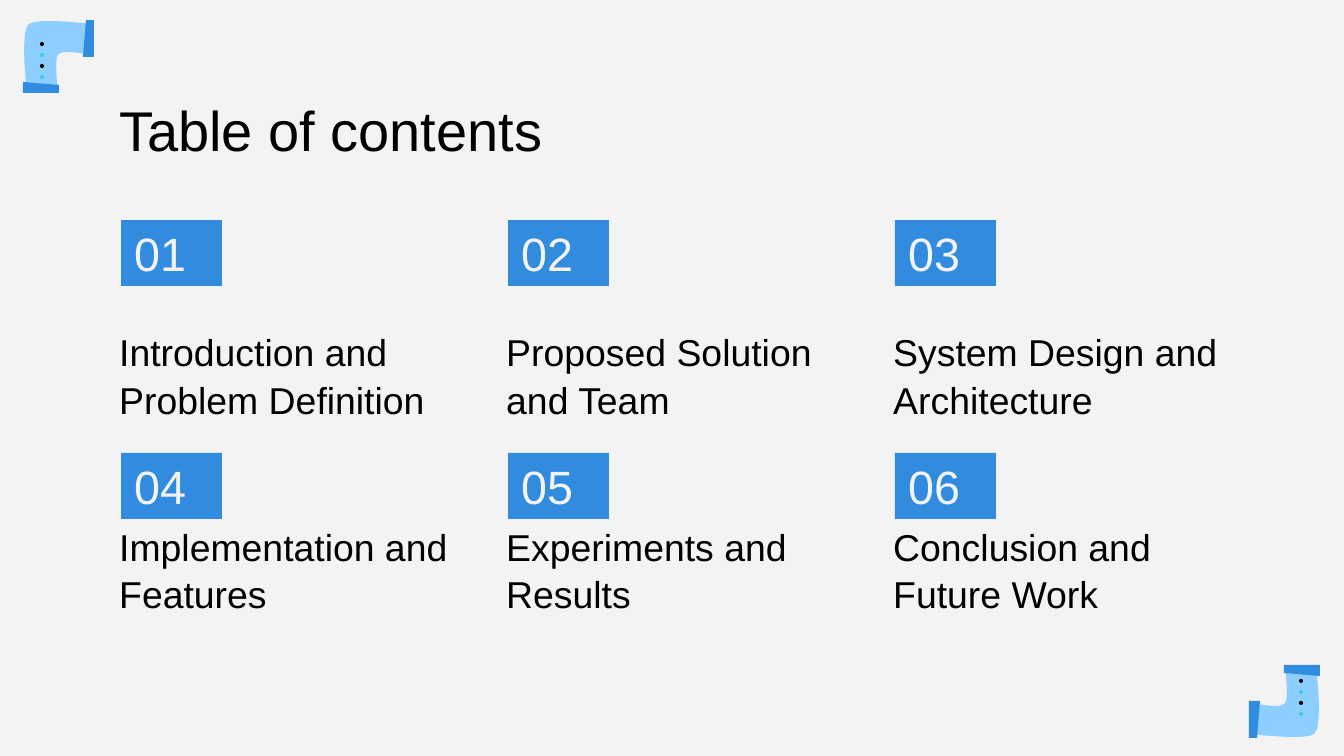
import pptx
import pptx.util
import pptx.dml.color
import pptx.enum.shapes
import pptx.enum.text

RGB = pptx.dml.color.RGBColor
SHAPE = pptx.enum.shapes.MSO_SHAPE
ANCHOR = pptx.enum.text.MSO_ANCHOR

PAPER = RGB(0xF3, 0xF3, 0xF3)
BLUE = RGB(0x31, 0x8B, 0xDE)
SKY = RGB(0x8C, 0xCE, 0xFF)
TEAL = RGB(0x40, 0xCF, 0xCF)
BLACK = RGB(0, 0, 0)
PX = 914400 / 134.4


def px(*sizes):
    return [pptx.util.Emu(round(size * PX)) for size in sizes]


def write(shape, text, size, color, anchor):
    frame = shape.text_frame
    frame.word_wrap = True
    frame.vertical_anchor = anchor
    frame.margin_left = frame.margin_right = pptx.util.Inches(0.1)
    frame.margin_top = frame.margin_bottom = pptx.util.Inches(0.1)
    line = frame.paragraphs[0]
    line.text = text
    line.alignment = pptx.enum.text.PP_ALIGN.LEFT
    line.font.name = "Arial"
    line.font.size = pptx.util.Pt(size)
    line.font.color.rgb = color
    return line


deck = pptx.Presentation()
deck.slide_width, deck.slide_height = px(1344, 756)
slide = deck.slides.add_slide(deck.slide_layouts[6])
slide.background.fill.solid()
slide.background.fill.fore_color.rgb = PAPER
shapes = slide.shapes

# Pipe bend: each curve has two control points and an end point
bend = [(48, 21)]
curves = [
    [(39, 21), (31, 22), (28, 25)],
    [(20, 36), (27, 91), (27, 91)],
    [(58, 91), (58, 91), (58, 91)],
    [(58, 91), (54, 59), (58, 55)],
    [(59, 54), (62, 52), (66, 52)],
    [(77, 52), (93, 55), (93, 55)],
    [(93, 24), (93, 24), (93, 24)],
    [(93, 24), (67, 21), (48, 21)],
]
for curve in curves:
    knots = [bend[-1]] + curve
    for step in range(1, 13):
        t = step / 12
        parts = [(1 - t) ** 3, 3 * t * (1 - t) ** 2, 3 * t * t * (1 - t), t ** 3]
        bend.append(tuple(sum(part * knot[axis] for part, knot in zip(parts, knots))
                          for axis in (0, 1)))
side = [(86, 20), (83, 57), (94, 57), (94, 20)]
foot = [(23, 82), (23, 93), (59, 93), (59, 85)]

# The lower pipe is the upper one turned by 180 degrees
for turned, dot_x, dot_y in [(False, 40, 42), (True, 1299, 679)]:
    for points, color in [(bend, SKY), (side, BLUE), (foot, BLUE)]:
        if turned:
            points = [(1343 - x, 758 - y) for x, y in points]
        points = [px(x, y) for x, y in points]
        pen = shapes.build_freeform(*points[0])
        pen.add_line_segments(points[1:], close=True)
        part = pen.convert_to_shape()
        part.shadow.inherit = False
        part.fill.solid()
        part.fill.fore_color.rgb = color
        part.line.fill.background()
    for i, color in enumerate([BLACK, TEAL, BLACK, TEAL]):
        dot = shapes.add_shape(SHAPE.OVAL, *px(dot_x, dot_y + 11 * i, 4, 4))
        dot.shadow.inherit = False
        dot.fill.solid()
        dot.fill.fore_color.rgb = color
        dot.line.fill.background()

title = shapes.add_textbox(*px(106, 82, 1133, 84))
write(title, "Table of contents", 30, BLACK, ANCHOR.TOP)

topics = [
    "Introduction and Problem Definition",
    "Proposed Solution and Team",
    "System Design and Architecture",
    "Implementation and Features",
    "Experiments and Results",
    "Conclusion and Future Work",
]
heights = [149, 110]
for i, topic in enumerate(topics):
    row, col = divmod(i, 3)
    left, top = 387 * col, 220 + 233 * row
    badge = shapes.add_shape(SHAPE.RECTANGLE, *px(121 + left, top, 101, 66))
    badge.shadow.inherit = False
    badge.fill.solid()
    badge.fill.fore_color.rgb = BLUE
    badge.line.fill.background()
    write(badge, f"{i + 1:02}", 25, PAPER, ANCHOR.MIDDLE)
    label = shapes.add_textbox(*px(106 + left, top + 66, 359, heights[row]))
    write(label, topic, 20, BLACK, ANCHOR.BOTTOM).line_spacing = 1.05

deck.save("out.pptx")
